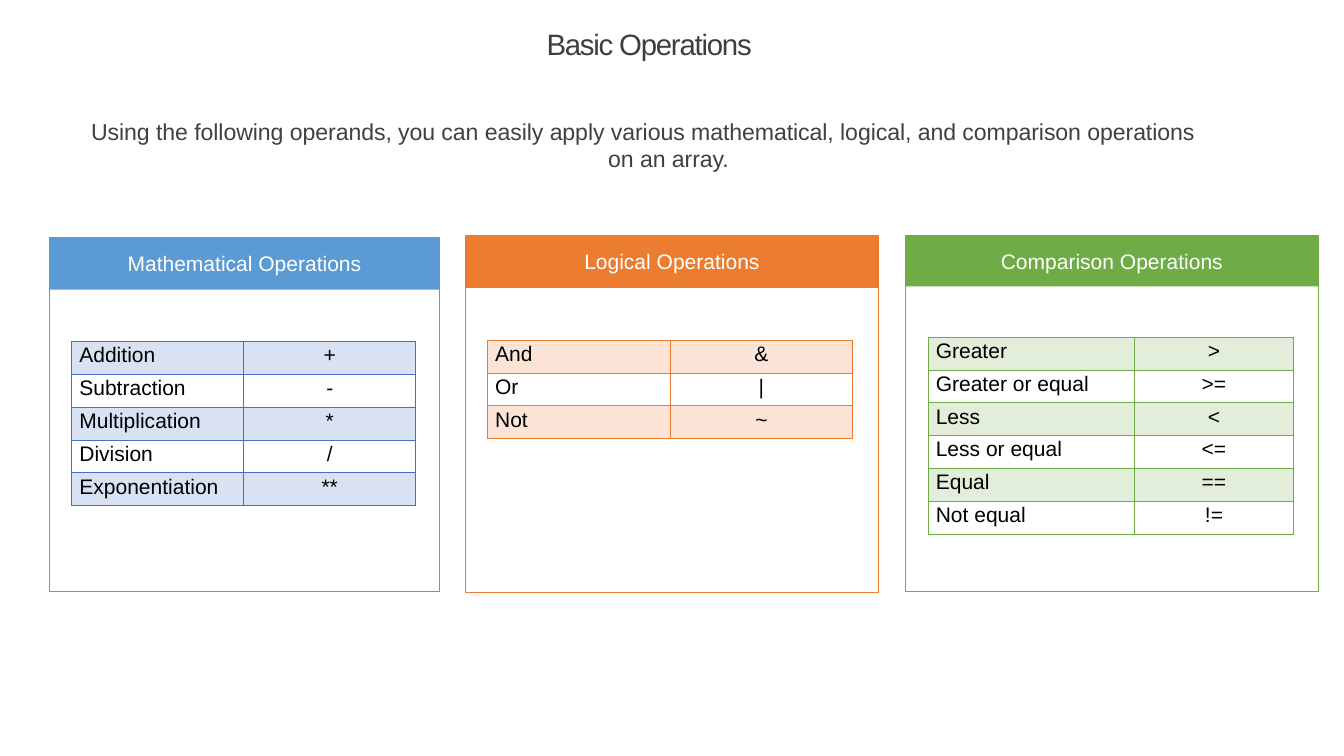
from collections import namedtuple
from dataclasses import dataclass

from lxml import etree
from pptx import Presentation
from pptx import util as u
from pptx.dml.color import RGBColor
from pptx.enum import shapes, text
from pptx.oxml import ns

Box = namedtuple("Box", "x y w h")
Panel = namedtuple("Panel", "title box head line band grid top cols edge rows")


@dataclass(frozen=True)
class Theme:
    font: str = "Arial"
    title: str = "3E3E3E"
    body: str = "404040"
    white: str = "FFFFFF"
    black: str = "000000"
    blue: str = "5B9BD4"
    navy: str = "4471C4"
    sky: str = "D9E2F3"
    orange: str = "EC7C30"
    peach: str = "FBE4D5"
    green: str = "6FAC46"
    mint: str = "E2EEDA"
    big: int = 28
    mid: int = 22
    small: int = 20


T = Theme()
ROW = 0.434
LEFT, MID = text.PP_ALIGN.LEFT, text.PP_ALIGN.CENTER

PANELS = [
    Panel("Mathematical Operations", Box(0.66, 3.14, 5.15, 4.68), 0.69,
          T.blue, T.sky, 0.29, 1.38, (2.275, 2.275), T.navy,
          [("Addition", "+"), ("Subtraction", "-"), ("Multiplication", "*"),
           ("Division", "/"), ("Exponentiation", "**")]),
    Panel("Logical Operations", Box(6.16, 3.11, 5.46, 4.73), 0.7,
          T.orange, T.peach, 0.29, 1.39, (2.415, 2.415), T.orange,
          [("And", "&"), ("Or", "|"), ("Not", "~")]),
    Panel("Comparison Operations", Box(11.98, 3.11, 5.46, 4.71), 0.68,
          T.green, T.mint, 0.3, 1.35, (2.73, 2.1), T.green,
          [("Greater", ">"), ("Greater or equal", ">="), ("Less", "<"),
           ("Less or equal", "<="), ("Equal", "=="), ("Not equal", "!=")]),
]


def rgb(code):
    return RGBColor.from_string(code)


def place(shape, box):
    shape.left, shape.top, shape.width, shape.height = map(u.Inches, box)


def write(frame, *lines, size=T.small, color=T.black, align=MID,
          anchor=text.MSO_ANCHOR.TOP, space=0, inset=0.01, indents=()):
    """Fill a text frame, one paragraph a line; space is in points."""
    frame.word_wrap = True
    frame.vertical_anchor = anchor
    frame.margin_left = frame.margin_right = frame.margin_bottom = 0
    frame.margin_top = u.Inches(inset)
    for i, line in enumerate(lines):
        para = frame.paragraphs[0] if i == 0 else frame.add_paragraph()
        para.alignment = align
        if i < len(indents):
            para._p.get_or_add_pPr().set("marL", str(u.Inches(indents[i])))
        run = para.add_run()
        run.text = line
        run.font.name, run.font.size = T.font, u.Pt(size)
        run.font.bold = False
        run.font.color.rgb = rgb(color)
        if space:
            run._r.get_or_add_rPr().set("spc", str(round(space * 100)))


def rect(slide, box, fill=None, line=None):
    shape = slide.shapes.add_shape(shapes.MSO_SHAPE.RECTANGLE,
                                   *map(u.Inches, box))
    shape.shadow.inherit = False
    if fill:
        shape.fill.solid()
        shape.fill.fore_color.rgb = rgb(fill)
    else:
        shape.fill.background()
    if line:
        shape.line.color.rgb = rgb(line)
        shape.line.width = u.Pt(1)
    else:
        shape.line.fill.background()
    return shape


def border(cell, color):
    props = cell._tc.get_or_add_tcPr()
    for i, side in enumerate(("lnL", "lnR", "lnT", "lnB")):
        line = etree.Element(ns.qn("a:" + side), w=str(u.Pt(1)))
        fill = etree.SubElement(line, ns.qn("a:solidFill"))
        etree.SubElement(fill, ns.qn("a:srgbClr"), val=color)
        props.insert(i, line)


def grid(slide, box, cols, rows, edge, band):
    table = slide.shapes.add_table(len(rows), len(cols),
                                   *map(u.Inches, box)).table
    table.first_row = table.horz_banding = False
    for col, width in zip(table.columns, cols):
        col.width = u.Inches(width)
    for r, row in enumerate(rows):
        table.rows[r].height = u.Inches(ROW)
        for c, word in enumerate(row):
            cell = table.cell(r, c)
            write(cell.text_frame, word, align=MID if c else LEFT,
                  indents=() if c else (0.1,))
            cell.margin_left = cell.margin_right = cell.margin_bottom = 0
            cell.margin_top = u.Inches(0.03)
            if r % 2:
                cell.fill.background()
            else:
                cell.fill.solid()
                cell.fill.fore_color.rgb = rgb(band)
            border(cell, edge)


def panel(slide, p):
    """Draw an outlined box with a heading bar and a table."""
    x, y, w, h = p.box
    rect(slide, p.box, line=p.line)
    head = rect(slide, Box(x, y, w, p.head), fill=p.line)
    write(head.text_frame, p.title, color=T.white, inset=0,
          anchor=text.MSO_ANCHOR.MIDDLE)
    box = Box(x + p.grid, y + p.top, sum(p.cols), ROW * len(p.rows))
    grid(slide, box, p.cols, p.rows, p.edge, p.band)


def title(slide, box):
    shape = slide.shapes.title
    place(shape, box)
    write(shape.text_frame, "Basic Operations", size=T.big, color=T.title,
          align=LEFT, anchor=text.MSO_ANCHOR.MIDDLE, space=-1.15)


def intro(slide, box):
    shape = slide.shapes.add_textbox(*map(u.Inches, box))
    write(shape.text_frame,
          "Using the following operands, you can easily apply various "
          "mathematical, logical, and comparison operations",
          "on an array.", size=T.mid, color=T.body, space=-0.05,
          indents=(0, 0.68))


def main():
    deck = Presentation()
    deck.slide_width, deck.slide_height = u.Inches(17.78), u.Inches(10)
    slide = deck.slides.add_slide(deck.slide_layouts.get_by_name("Title Only"))
    title(slide, Box(7.23, 0.33, 2.99, 0.49))
    intro(slide, Box(1.14, 1.54, 14.73, 0.76))
    for p in PANELS:
        panel(slide, p)
    deck.save("out.pptx")


if __name__ == "__main__":
    main()
